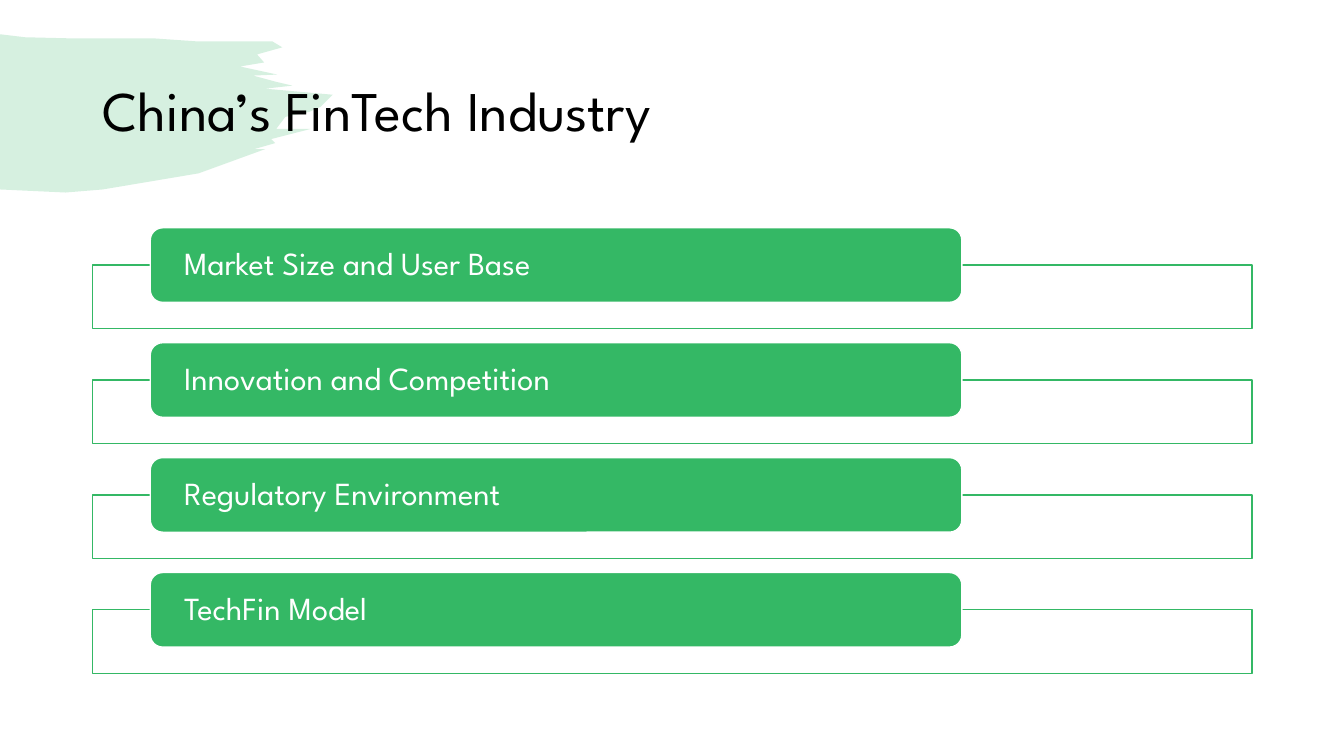
from dataclasses import dataclass

from lxml.etree import SubElement
from pptx import Presentation
from pptx.dml.color import RGBColor
from pptx.enum.shapes import MSO_SHAPE
from pptx.enum.text import MSO_ANCHOR, PP_ALIGN
from pptx.oxml.ns import qn
from pptx.shapes.autoshape import Shape
from pptx.slide import Slide
from pptx.util import Inches, Pt

GREEN, WHITE, BLACK = "34B865", "FFFFFF", "000000"
FONT = "League Spartan"

TOPICS = [
    "Market Size and User Base",
    "Innovation and Competition",
    "Regulatory Environment",
    "TechFin Model",
]
TOPIC_PITCH = 1.14

BRUSH_OUTLINE = [
    (0, 0.34), (0.25, 0.37), (0.66, 0.38), (1.51, 0.38), (1.94, 0.41),
    (2.48, 0.41), (2.7, 0.41), (2.8, 0.47), (2.55, 0.54), (2.62, 0.62),
    (2.38, 0.66), (2.75, 0.74), (2.51, 0.75), (2.73, 0.81), (2.9, 0.85),
    (2.63, 0.88), (3.3, 0.94), (3.18, 1.06), (3.07, 1.11), (2.83, 1.16),
    (2.74, 1.28), (3.08, 1.28), (2.69, 1.38), (2.73, 1.42), (2.52, 1.48),
    (2.63, 1.48), (1.97, 1.72), (1.02, 1.88), (0.65, 1.91), (0, 1.88),
]


@dataclass(frozen=True)
class Box:
    left: float
    top: float
    width: float
    height: float
    fill: str
    line: str
    preset: MSO_SHAPE = MSO_SHAPE.RECTANGLE
    opacity: int = 100


def color(value: str) -> RGBColor:
    return RGBColor.from_string(value)


def style_shape(shape: Shape, fill: str, line: str | None, opacity: int) -> None:
    shape.shadow.inherit = False
    shape.fill.solid()
    shape.fill.fore_color.rgb = color(fill)
    if opacity < 100:
        fill_color = shape.fill._xPr.find(qn("a:solidFill"))[0]
        SubElement(fill_color, qn("a:alpha"), val=str(opacity * 1000))
    if line is None:
        shape.line.fill.background()
    else:
        shape.line.color.rgb = color(line)
        shape.line.width = Pt(1)


def add_box(slide: Slide, box: Box) -> Shape:
    lengths = (Inches(n) for n in (box.left, box.top, box.width, box.height))
    shape = slide.shapes.add_shape(box.preset, *lengths)
    style_shape(shape, box.fill, box.line, box.opacity)
    return shape


def set_text(shape: Shape, text: str, size: int, text_color: str, inset: float) -> None:
    frame = shape.text_frame
    paragraph = frame.paragraphs[0]
    run = paragraph.add_run()
    run.text = text
    formats = [
        (frame, {
            "word_wrap": True,
            "vertical_anchor": MSO_ANCHOR.MIDDLE,
            "margin_left": Inches(inset),
            "margin_right": Inches(inset),
        }),
        (paragraph, {"alignment": PP_ALIGN.LEFT, "line_spacing": 0.9}),
        (run.font, {"name": FONT, "size": Pt(size)}),
        (run.font.color, {"rgb": color(text_color)}),
    ]
    for target, values in formats:
        for name, value in values.items():
            setattr(target, name, value)


def add_brush(slide: Slide) -> None:
    start, *points = [(Inches(x), Inches(y)) for x, y in BRUSH_OUTLINE]
    builder = slide.shapes.build_freeform(*start)
    builder.add_line_segments(points, close=True)
    style_shape(builder.convert_to_shape(), GREEN, None, 20)


def add_title(slide: Slide) -> None:
    lengths = (Inches(n) for n in (0.92, 0.4, 11.5, 1.45))
    title = slide.shapes.add_textbox(*lengths)
    set_text(title, "China’s FinTech Industry", 40, BLACK, 0.1)


def add_topic(slide: Slide, top: float, text: str) -> None:
    add_box(slide, Box(0.92, top + 0.37, 11.5, 0.63, WHITE, GREEN, opacity=90))
    label = Box(1.49, top, 8.05, 0.74, GREEN, WHITE, MSO_SHAPE.ROUNDED_RECTANGLE)
    set_text(add_box(slide, label), text, 23, WHITE, 0.3)


def main() -> None:
    presentation = Presentation()
    presentation.slide_width = Inches(13.33)
    presentation.slide_height = Inches(7.5)
    slide = presentation.slides.add_slide(presentation.slide_layouts[6])
    add_brush(slide)
    add_title(slide)
    for index, topic in enumerate(TOPICS):
        add_topic(slide, 2.26 + index * TOPIC_PITCH, topic)
    presentation.save("out.pptx")


if __name__ == "__main__":
    main()
